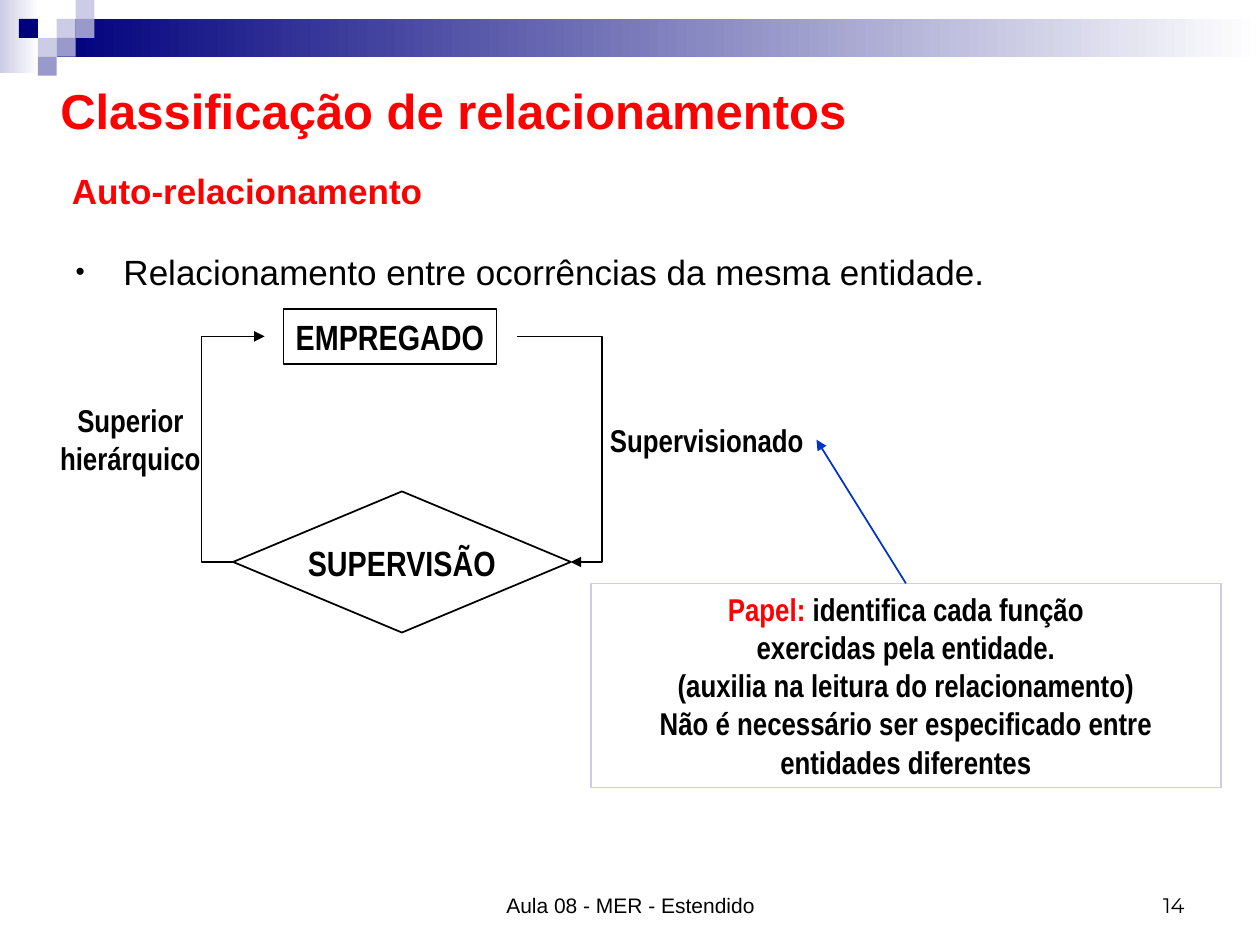
from lxml import etree
from pptx import Presentation
from pptx.dml.color import RGBColor
from pptx.enum.shapes import MSO_CONNECTOR, MSO_SHAPE
from pptx.enum.text import MSO_ANCHOR, MSO_AUTO_SIZE, PP_ALIGN
from pptx.oxml.ns import qn
from pptx.util import Inches, Pt

RECTANGLE, DECISION = MSO_SHAPE.RECTANGLE, MSO_SHAPE.FLOWCHART_DECISION
STRAIGHT, ELBOW = MSO_CONNECTOR.STRAIGHT, MSO_CONNECTOR.ELBOW
TOP, MIDDLE, BOTTOM = MSO_ANCHOR.TOP, MSO_ANCHOR.MIDDLE, MSO_ANCHOR.BOTTOM
LEFT, CENTER, RIGHT = PP_ALIGN.LEFT, PP_ALIGN.CENTER, PP_ALIGN.RIGHT
NO_FIT = MSO_AUTO_SIZE.NONE

BLACK, RED, BLUE = "000000", "FF0000", "0033CC"
NAVY, LILAC, VIOLET, WHITE = "00007D", "CCCCE6", "9999CC", "FFFFFF"
NARROW = "Arial Narrow"


def rgb(color):
    return RGBColor.from_string(color)


def move(shape, box):
    shape.left, shape.top, shape.width, shape.height = map(Inches, box)


def write(shape, text, size, font="Arial", color=BLACK, bold=False,
          align=LEFT, anchor=TOP, wrap=True, spacing=1.0):
    frame = shape.text_frame
    frame.text = text
    frame.word_wrap = wrap
    frame.auto_size = NO_FIT
    frame.vertical_anchor = anchor
    for para in frame.paragraphs:
        para.alignment = align
        para.line_spacing = spacing
        para.space_before = Pt(0)
        for span in para.runs:
            span.font.name = font
            span.font.size = Pt(size)
            span.font.bold = bold
            span.font.color.rgb = rgb(color)


def add_text(page, box, text, size, **style):
    shape = page.shapes.add_textbox(*map(Inches, box))
    write(shape, text, size, **style)


def add_label(page, box, text):
    add_text(page, box, text, 18, font=NARROW, bold=True, align=CENTER,
             wrap=False, spacing=1.01)


def add_block(page, kind, box, fill=None, line=None):
    shape = page.shapes.add_shape(kind, *map(Inches, box))
    shape.shadow.inherit = False
    if fill:
        shape.fill.solid()
        shape.fill.fore_color.rgb = rgb(fill)
    else:
        shape.fill.background()
    if line:
        shape.line.color.rgb = rgb(line)
        shape.line.width = Pt(1)
    else:
        shape.line.fill.background()
    return shape


def add_node(page, kind, box, text):
    shape = add_block(page, kind, box, line=BLACK)
    write(shape, text, 20, font=NARROW, bold=True, align=CENTER,
          anchor=MIDDLE, wrap=False, spacing=1.01)


def add_arrow(page, kind, start, end, color=BLACK, bend=None):
    arrow = page.shapes.add_connector(kind, *map(Inches, start + end))
    arrow.line.color.rgb = rgb(color)
    arrow.line.width = Pt(1)
    properties = arrow.element.spPr
    etree.SubElement(properties.find(qn("a:ln")), qn("a:tailEnd"), type="triangle")
    etree.SubElement(properties, qn("a:effectLst"))
    if bend is not None:
        ratio = (bend - start[0]) / (end[0] - start[0])
        guides = properties.find(qn("a:prstGeom")).get_or_add_avLst()
        etree.SubElement(guides, qn("a:gd"), name="adj1",
                         fmla=f"val {round(ratio * 100000)}")


def add_banner(page):
    gradients = [((0, 0, 0.31, 0.58), LILAC), ((0.45, 0.15, 9.55, 0.3), NAVY)]
    for box, color in gradients:
        band = add_block(page, RECTANGLE, box)
        band.fill.gradient()
        band.fill.gradient_angle = 0
        for stop, position, shade in zip(band.fill.gradient_stops, (0, 1), (color, WHITE)):
            stop.position = position
            stop.color.rgb = rgb(shade)
    side = 0.15
    tiles = [(3, 1, LILAC), (4, 0, LILAC), (4, 1, VIOLET), (2, 2, LILAC),
             (1, 1, NAVY), (3, 2, VIOLET), (2, 3, VIOLET)]
    for column, row, color in tiles:
        add_block(page, RECTANGLE, (column * side, row * side, side, side), fill=color)


def add_heading(page, box):
    add_text(page, box, "Classificação de relacionamentos", 28, color=RED,
             bold=True, anchor=MIDDLE)


def fill_title(page, box):
    title = page.shapes.title
    move(title, box)
    write(title, "Auto-relacionamento", 20, color=RED, bold=True, anchor=MIDDLE)


def fill_body(page, box):
    body = page.placeholders[1]
    move(body, box)
    write(body, "Relacionamento entre ocorrências da mesma entidade.", 20)
    properties = body.text_frame.paragraphs[0]._p.get_or_add_pPr()
    properties.set("marL", str(Inches(0.38)))
    properties.set("indent", str(Inches(-0.38)))
    color = etree.SubElement(properties, qn("a:buClr"))
    etree.SubElement(color, qn("a:srgbClr"), val=BLACK)
    etree.SubElement(properties, qn("a:buSzPct"), val="75000")
    etree.SubElement(properties, qn("a:buFont"), typeface="Arial")
    etree.SubElement(properties, qn("a:buChar"), char="•")


def add_diagram(page, box):
    left, top, width, height = box
    entity_y, relation_y = top + 0.22, top + 2.01
    right = left + width
    add_node(page, RECTANGLE, (left + 0.4, top, 1.69, 0.44), "EMPREGADO")
    add_node(page, DECISION, (left, top + 1.45, width, height - 1.45), "SUPERVISÃO")
    add_arrow(page, ELBOW, (left + 2.25, entity_y), (right, relation_y), bend=right + 0.25)
    add_arrow(page, ELBOW, (left, relation_y), (left + 0.25, entity_y), bend=left - 0.25)
    add_label(page, (4.74, 3.29, 1.74, 0.41), "Supervisionado")
    add_label(page, (0.38, 3.13, 1.31, 0.71), "Superior\nhierárquico")


def add_role_note(page, box):
    note = add_block(page, RECTANGLE, box, line=LILAC)
    lines = ["Papel:", "exercidas pela entidade.",
             "(auxilia na leitura do relacionamento)",
             "Não é necessário ser especificado entre entidades diferentes"]
    write(note, "\n".join(lines), 18, font=NARROW, bold=True, align=CENTER, spacing=1.01)
    para = note.text_frame.paragraphs[0]
    para.runs[0].font.color.rgb = rgb(RED)
    span = para.add_run()
    span.text = " identifica cada função"
    span.font.name = NARROW
    span.font.size = Pt(18)
    span.font.bold = True
    span.font.color.rgb = rgb(BLACK)
    left, top, width, _ = box
    add_arrow(page, STRAIGHT, (left + width / 2, top), (6.48, 3.49), color=BLUE)


def add_footer(page, top, height):
    add_text(page, (7.17, top, 2.33, height), "14", 12, font="Montserrat",
             align=RIGHT, anchor=BOTTOM)
    add_text(page, (3.42, top, 3.17, height), "Aula 08 - MER - Estendido", 12,
             align=CENTER, anchor=BOTTOM)


def main():
    deck = Presentation()
    deck.slide_width, deck.slide_height = Inches(10), Inches(7.5)
    page = deck.slides.add_slide(deck.slide_layouts[1])
    add_banner(page)
    add_heading(page, (0.38, 0.46, 6.59, 0.83))
    fill_title(page, (0.47, 1.12, 4.5, 0.79))
    fill_body(page, (0.5, 1.94, 9, 4.99))
    add_diagram(page, (1.85, 2.45, 2.68, 2.57))
    add_role_note(page, (4.69, 4.63, 5, 1.62))
    add_footer(page, 6.83, 0.5)
    deck.save("out.pptx")


if __name__ == "__main__":
    main()
